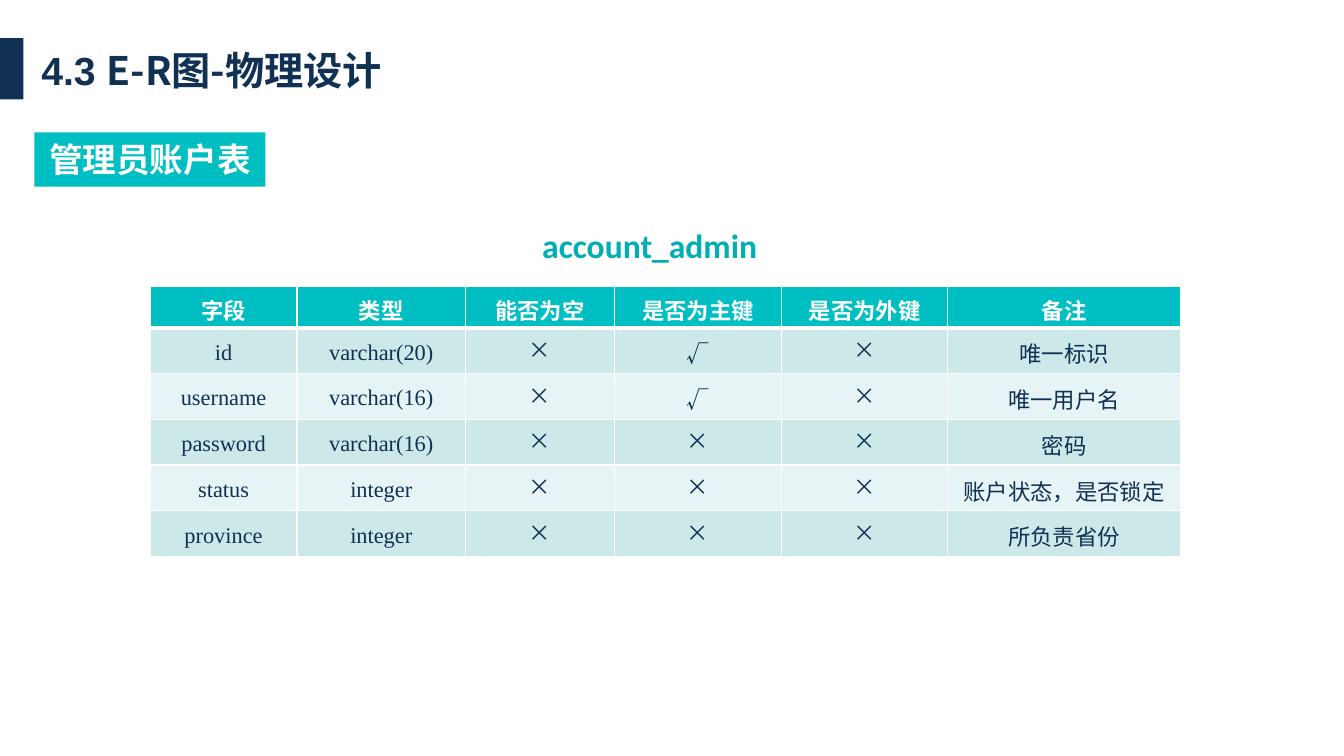
from lxml.etree import SubElement
from pptx import Presentation
from pptx.dml.color import RGBColor
from pptx.enum.shapes import MSO_SHAPE
from pptx.enum.text import MSO_ANCHOR, MSO_AUTO_SIZE, PP_ALIGN
from pptx.oxml.ns import qn
from pptx.util import Pt

NAVY = RGBColor(0x10, 0x31, 0x54)
TEAL = RGBColor(0x00, 0xBF, 0xC3)
DARK_TEAL = RGBColor(0x00, 0xAE, 0xB3)
BAND_DARK = RGBColor(0xCC, 0xE8, 0xE9)
BAND_LIGHT = RGBColor(0xE7, 0xF4, 0xF5)
WHITE = RGBColor(0xFF, 0xFF, 0xFF)
CHINESE_FONT = "Noto Sans CJK SC"
LATIN_FONT = "Times New Roman"

COLUMN_WIDTHS = (105, 120.3, 106.5, 119.3, 118.8, 166.1)
HEADER_HEIGHT = 29.3
ROW_HEIGHT = 32.7
FIELDS = (
    ("字段", "类型", "能否为空", "是否为主键", "是否为外键", "备注"),
    ("id", "varchar(20)", "×", "√", "×", "唯一标识"),
    ("username", "varchar(16)", "×", "√", "×", "唯一用户名"),
    ("password", "varchar(16)", "×", "×", "×", "密码"),
    ("status", "integer", "×", "×", "×", "账户状态，是否锁定"),
    ("province", "integer", "×", "×", "×", "所负责省份"),
)


def add_text(paragraph, text, font=CHINESE_FONT, size=16, color=NAVY, bold=False,
             align=PP_ALIGN.LEFT):
    """Append a formatted run to a paragraph."""
    paragraph.alignment = align
    run = paragraph.add_run()
    run.text = text
    run.font.size = Pt(size)
    run.font.bold = bold
    run.font.color.rgb = color
    run.font.name = font
    SubElement(run._r.get_or_add_rPr(), qn("a:ea"), typeface=font)


def set_border(cell, side, width, color=WHITE):
    """Draw one side of a cell's border."""
    line = SubElement(cell._tc.get_or_add_tcPr(), qn(f"a:ln{side}"), w=str(Pt(width)))
    fill = SubElement(line, qn("a:solidFill"))
    SubElement(fill, qn("a:srgbClr"), val=str(color))


class SlideBuilder:
    """Hold the current slide and draw its elements in one style."""

    def __init__(self, presentation):
        """Add a title-only slide."""
        self.slide = presentation.slides.add_slide(presentation.slide_layouts[5])

    def title(self, parts, left, top, width, height):
        """Place the title, given as text and font pairs."""
        shape = self.slide.shapes.title
        shape.left, shape.top = Pt(left), Pt(top)
        shape.width, shape.height = Pt(width), Pt(height)
        frame = shape.text_frame
        frame.auto_size = MSO_AUTO_SIZE.NONE
        frame.vertical_anchor = MSO_ANCHOR.MIDDLE
        for text, font in parts:
            add_text(frame.paragraphs[0], text, font=font, size=28, bold=True)

    def rectangle(self, color, left, top, width, height):
        """Draw a plain filled rectangle."""
        shape = self.slide.shapes.add_shape(
            MSO_SHAPE.RECTANGLE, Pt(left), Pt(top), Pt(width), Pt(height))
        shape.shadow.inherit = False
        shape.fill.solid()
        shape.fill.fore_color.rgb = color
        shape.line.fill.background()
        return shape

    def tag(self, text, left, top, width, height):
        """Draw a teal label that fits its text."""
        frame = self.rectangle(TEAL, left, top, width, height).text_frame
        frame.word_wrap = False
        frame.auto_size = MSO_AUTO_SIZE.SHAPE_TO_FIT_TEXT
        frame.vertical_anchor = MSO_ANCHOR.TOP
        frame.margin_left = frame.margin_right = Pt(9.4)
        frame.margin_top = frame.margin_bottom = Pt(5)
        add_text(frame.paragraphs[0], text, size=24, color=WHITE, bold=True,
                 align=PP_ALIGN.CENTER)

    def caption(self, text, left, top, width, height):
        """Place the table's name."""
        frame = self.slide.shapes.add_textbox(
            Pt(left), Pt(top), Pt(width), Pt(height)).text_frame
        frame.word_wrap = True
        frame.auto_size = MSO_AUTO_SIZE.SHAPE_TO_FIT_TEXT
        add_text(frame.paragraphs[0], text, font="Calibri", size=24, color=DARK_TEAL,
                 bold=True)

    def table(self, rows, left, top):
        """Draw the field table with a header and alternating bands."""
        height = HEADER_HEIGHT + ROW_HEIGHT * (len(rows) - 1)
        table = self.slide.shapes.add_table(
            len(rows), len(COLUMN_WIDTHS), Pt(left), Pt(top),
            Pt(sum(COLUMN_WIDTHS)), Pt(height)).table
        table.horz_banding = False
        for column, width in zip(table.columns, COLUMN_WIDTHS):
            column.width = Pt(width)
        for row_index, row in enumerate(rows):
            table.rows[row_index].height = Pt(ROW_HEIGHT if row_index else HEADER_HEIGHT)
            for column_index, text in enumerate(row):
                self.cell(table.cell(row_index, column_index), text, row_index, column_index)

    def cell(self, cell, text, row_index, column_index):
        """Fill and format one table cell."""
        header = row_index == 0
        for side in "LRTB":
            thick = (row_index, side) in ((0, "B"), (1, "T"))
            set_border(cell, side, 3 if thick else 1)
        cell.fill.solid()
        cell.fill.fore_color.rgb = (
            TEAL if header else BAND_DARK if row_index % 2 else BAND_LIGHT)
        cell.margin_left = cell.margin_right = Pt(5)
        cell.margin_top = cell.margin_bottom = Pt(0)
        cell.vertical_anchor = MSO_ANCHOR.TOP if text == "×" else MSO_ANCHOR.MIDDLE
        paragraph = cell.text_frame.paragraphs[0]
        paragraph.line_spacing = 1.15
        paragraph.space_after = Pt(7.8)
        add_text(paragraph, text,
                 font=LATIN_FONT if not header and column_index < 2 else CHINESE_FONT,
                 color=WHITE if header else NAVY, bold=header, align=PP_ALIGN.CENTER)


def main():
    """Build and save the presentation."""
    presentation = Presentation()
    presentation.slide_width = Pt(960)
    presentation.slide_height = Pt(540)
    builder = SlideBuilder(presentation)
    builder.rectangle(NAVY, 0, 27.2, 16.7, 43.8)
    builder.title((("4.3 ", "Arial"), ("E-R图-物理设计", CHINESE_FONT)), 22.3, 29.5, 368, 41)
    builder.tag("管理员账户表", 24.5, 94.5, 165, 38.8)
    builder.caption("account_admin", 380.2, 157, 215.3, 36)
    builder.table(FIELDS, 107.2, 204.8)
    presentation.save("out.pptx")


if __name__ == "__main__":
    main()
